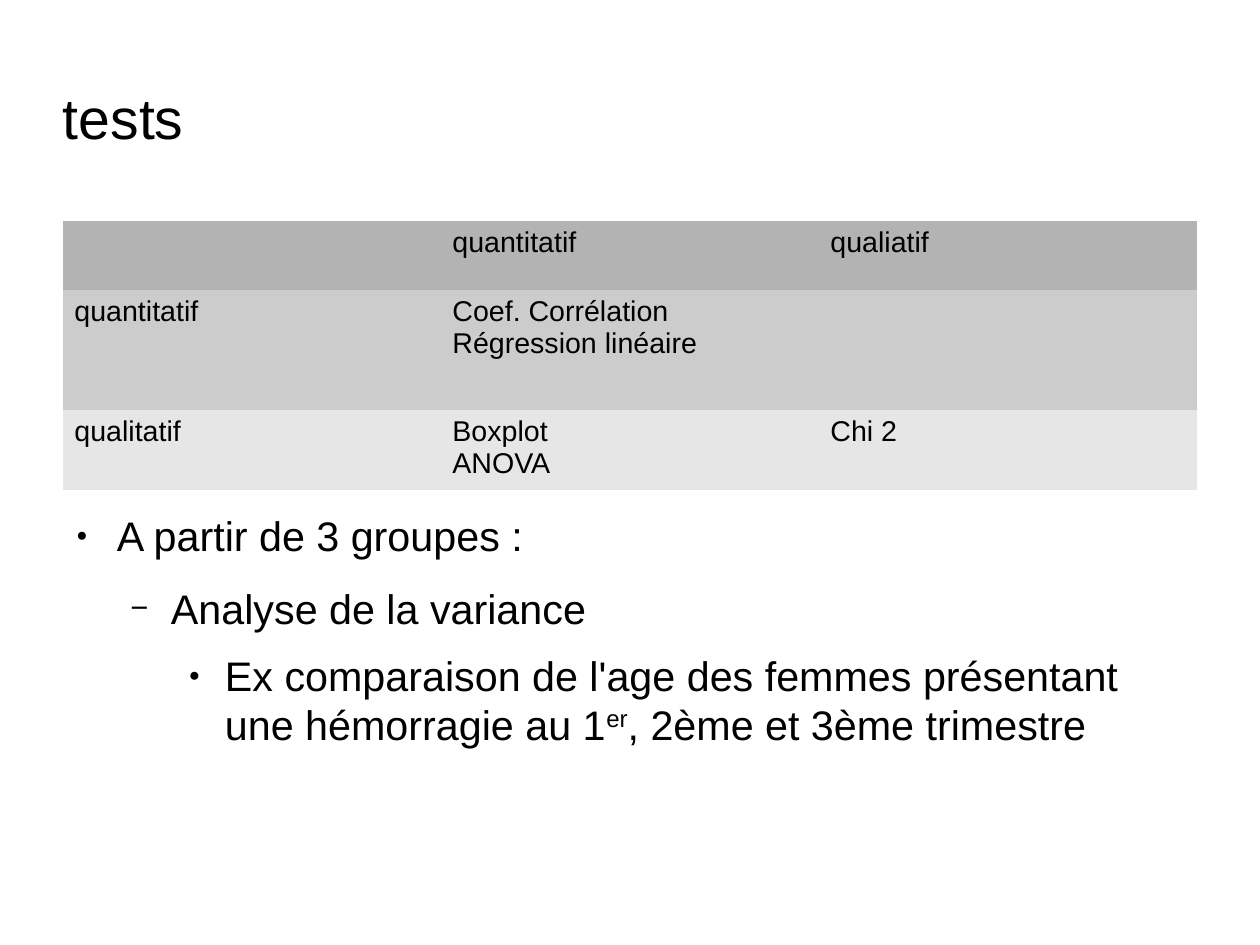
from lxml.etree import SubElement
from pptx import Presentation
from pptx.dml.color import RGBColor as RGB
from pptx.enum.text import MSO_ANCHOR as ANCHOR
from pptx.oxml.ns import qn
from pptx.util import Cm, Pt

W, H = 28, 21
LEFT = 0.05 * W
WIDTH = 0.9 * W
COLORS = {"text": "000000", "header": "B3B3B3", "odd": "CCCCCC", "even": "E6E6E6"}
NO_STYLE = "{2D5ABB26-0587-4C30-8999-92F81FD0307C}"

prs = Presentation()
prs.slide_width, prs.slide_height = Cm(W), Cm(H)
s = prs.slides.add_slide(prs.slide_layouts[6])


def add_run(p, text, size):
    r = p.add_run()
    r.text = text
    r.font.name = "Arial"
    r.font.size = Pt(size)
    r.font.color.rgb = RGB.from_string(COLORS["text"])
    return r


def add_box(top, width, height, anchor):
    sp = s.shapes.add_textbox(Cm(LEFT), Cm(top), Cm(width), Cm(height))
    tf = sp.text_frame
    tf.word_wrap = True
    tf.vertical_anchor = anchor
    tf.margin_left = tf.margin_right = tf.margin_top = tf.margin_bottom = 0
    return tf


title = add_box(1.59, 20, 2, ANCHOR.MIDDLE)
add_run(title.paragraphs[0], "tests", 36)

rows = [
    ("header", 1.54, ["", "quantitatif", "qualiatif"]),
    ("odd", 2.66, ["quantitatif", "Coef. Corrélation\nRégression linéaire", ""]),
    ("even", 1.68, ["qualitatif", "Boxplot\nANOVA", "Chi 2"]),
]
table_height = sum(height for _, height, _ in rows)
table = s.shapes.add_table(3, 3, Cm(LEFT), Cm(4.9), Cm(WIDTH), Cm(table_height)).table
table.first_row = table.horz_banding = False
table._tbl.tblPr.find(qn("a:tableStyleId")).text = NO_STYLE
for col in table.columns:
    col.width = Cm(WIDTH / 3)
for i, (color, height, texts) in enumerate(rows):
    table.rows[i].height = Cm(height)
    for j, text in enumerate(texts):
        cell = table.cell(i, j)
        cell.fill.solid()
        cell.fill.fore_color.rgb = RGB.from_string(COLORS[color])
        tf = cell.text_frame
        for n, line in enumerate(text.split("\n") if text else []):
            p = tf.add_paragraph() if n else tf.paragraphs[0]
            add_run(p, line, 18)

bullets = [
    ("●", 45, 0.9, 14.2, ["A partir de 3 groupes :"]),
    ("−", 75, 0.9, 11.3, ["Analyse de la variance"]),
    ("●", 45, 0.8, 8.5, [
        "Ex comparaison de l'age des femmes présentant une hémorragie au 1",
        "er", ", 2ème et 3ème trimestre"]),
]
body = add_box(11.35, WIDTH, 5.82, ANCHOR.TOP)
for level, (char, percent, hang, after, texts) in enumerate(bullets):
    p = body.add_paragraph() if level else body.paragraphs[0]
    p.level = level
    p.space_after = Pt(after)
    pPr = p._p.get_or_add_pPr()
    pPr.set("marL", str(Cm(1.2 * (level + 1))))
    pPr.set("indent", str(-Cm(hang)))
    color = SubElement(pPr, qn("a:buClr"))
    SubElement(color, qn("a:srgbClr"), val=COLORS["text"])
    SubElement(pPr, qn("a:buSzPct"), val=str(percent * 1000))
    SubElement(pPr, qn("a:buFont"), typeface="Arial")
    SubElement(pPr, qn("a:buChar"), char=char)
    for text in texts:
        r = add_run(p, text, 26)
        if text == "er":
            r._r.get_or_add_rPr().set("baseline", "33000")

prs.save("out.pptx")
